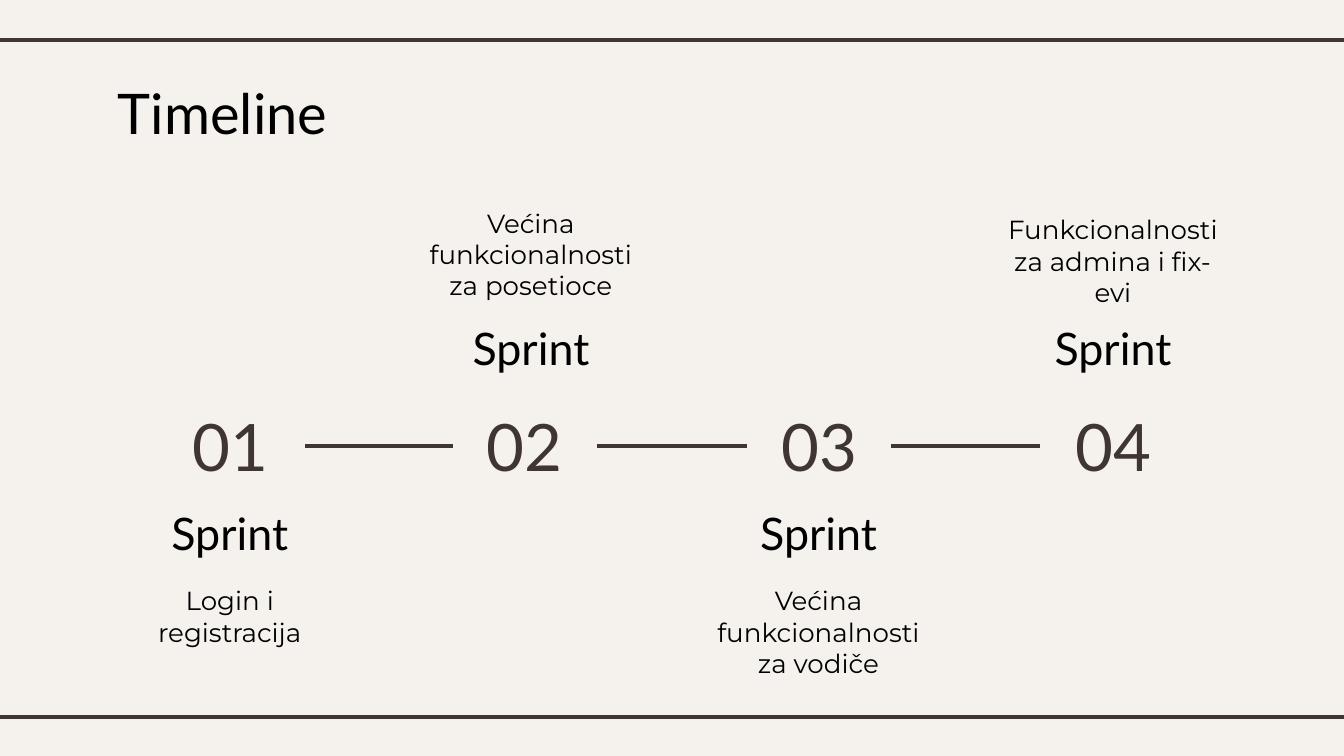
from pptx import Presentation
from pptx import util as u
from pptx.dml.color import RGBColor
from pptx.enum import shapes, text
from pptx.oxml.ns import qn
from lxml import etree

INK, BLACK, PAPER = "3F3533", "000000", "F5F2EE"
MIDDLE, TOP = text.MSO_ANCHOR.MIDDLE, text.MSO_ANCHOR.TOP
CENTER, LEFT = text.PP_ALIGN.CENTER, text.PP_ALIGN.LEFT

FORMATS = {
    "title": dict(name="Lato", size=30, color=BLACK, align=LEFT, anchor=TOP),
    "number": dict(name="Lato", size=35, color=INK, align=CENTER, anchor=MIDDLE),
    "heading": dict(name="Lato", size=24, color=BLACK, align=CENTER, anchor=MIDDLE),
    "description": dict(name="Montserrat", size=14, color=BLACK, align=CENTER, anchor=TOP),
}

# number, number left and width, caption left, heading top, description top, description
SPRINTS = [
    ("01", 83.5, 80, 55.4, 271.4, 306, "Login i registracija"),
    ("02", 242.6, 77, 216.7, 172, 103.7, "Većina funkcionalnosti za posetioce"),
    ("03", 400.3, 77, 370.8, 271.4, 306, "Većina funkcionalnosti za vodiče"),
    ("04", 557.3, 78.5, 528.5, 172, 107.3, "Funkcionalnosti za admina i fix-evi"),
]
CAPTION_WIDTH = 135.4


def color(value):
    return RGBColor.from_string(value)


class TimelineSlide:
    def __init__(self, presentation):
        self.slide = presentation.slides.add_slide(presentation.slide_layouts[5])
        fill = self.slide.background.fill
        fill.solid()
        fill.fore_color.rgb = color(PAPER)

    def set_text(self, shape, words, style):
        """Fill a text shape with one paragraph in a named format."""
        values = FORMATS[style]
        frame = shape.text_frame
        frame_values = dict(word_wrap=True, auto_size=text.MSO_AUTO_SIZE.NONE,
                            vertical_anchor=values["anchor"])
        for side in ("left", "top", "right", "bottom"):
            frame_values["margin_" + side] = u.Pt(7.2)
        for name, value in frame_values.items():
            setattr(frame, name, value)
        paragraph = frame.paragraphs[0]
        paragraph.text = words
        paragraph.alignment = values["align"]
        font = paragraph.runs[0].font
        for name, value in dict(name=values["name"], size=u.Pt(values["size"])).items():
            setattr(font, name, value)
        font.color.rgb = color(values["color"])

    def title(self, words, left, top, width, height):
        shape = self.slide.shapes.title
        box = dict(left=left, top=top, width=width, height=height)
        for name, value in box.items():
            setattr(shape, name, u.Pt(value))
        self.set_text(shape, words, "title")

    def label(self, words, style, left, top, width, height):
        shape = self.slide.shapes.add_textbox(*map(u.Pt, (left, top, width, height)))
        self.set_text(shape, words, style)
        return shape

    def line(self, x1=0, y1=0, x2=0, y2=0):
        connector = self.slide.shapes.add_connector(
            shapes.MSO_CONNECTOR.STRAIGHT, *map(u.Pt, (x1, y1, x2, y2)))
        connector.line.color.rgb = color(INK)
        connector.line.width = u.Pt(2.25)
        etree.SubElement(connector._element.spPr, qn("a:effectLst"))
        return connector

    def join(self, first, second):
        connector = self.line()
        connector.begin_connect(first, 3)
        connector.end_connect(second, 1)


def main():
    presentation = Presentation()
    presentation.slide_width, presentation.slide_height = u.Pt(720), u.Pt(405)
    timeline = TimelineSlide(presentation)
    for y in (21.5, 384):
        timeline.line(-6, y, 726, y)
    timeline.title("Timeline", 56, 35, 608, 45)

    numbers = []
    for number, left, width, caption_left, heading_top, description_top, words in SPRINTS:
        numbers.append(timeline.label(number, "number", left, 212.5, width, 52.5))
        timeline.label("Sprint", "heading", caption_left, heading_top, CAPTION_WIDTH, 28)
        timeline.label(words, "description", caption_left, description_top, CAPTION_WIDTH, 45)
    for first, second in zip(numbers, numbers[1:]):
        timeline.join(first, second)
    presentation.save("out.pptx")


if __name__ == "__main__":
    main()
